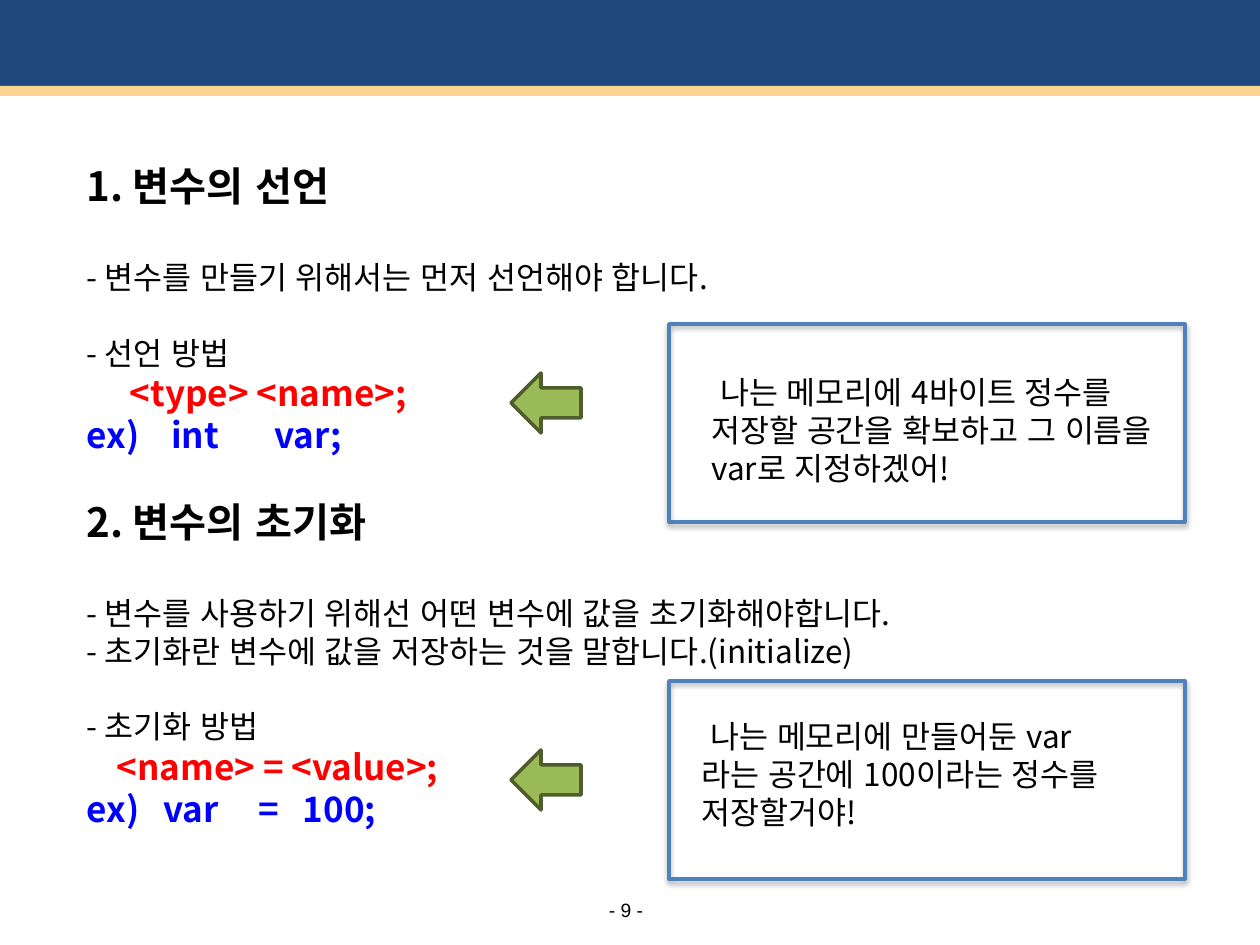
import pptx
import pptx.util
import pptx.dml.color
import pptx.enum.shapes
import pptx.enum.text
import pptx.oxml
import pptx.oxml.ns
import lxml.etree

PX = 914400 // 126
LATIN_FONT = "Noto Sans CJK KR"
EAST_ASIAN_FONT = "Arial"
LINE_HEIGHT = 1.2
COLORS = {
    "header": "1F497D", "stripe": "F9D490", "text": "000000",
    "syntax": "FF0000", "example": "0000FF", "box": "4F81BD",
    "arrow": "9BBB59", "arrow line": "4D5D2C",
}
SHAPES = pptx.enum.shapes.MSO_SHAPE


def rgb(name):
    return pptx.dml.color.RGBColor.from_string(COLORS[name])


def format_paragraph(paragraph, size, color="text", bold=False, font=LATIN_FONT,
                     before=0, indent=0):
    """Format a filled paragraph; before is the size of a skipped line, indent is in px."""
    paragraph.alignment = pptx.enum.text.PP_ALIGN.LEFT
    paragraph.line_spacing = pptx.util.Pt(round(size * LINE_HEIGHT, 1))
    paragraph.space_before = pptx.util.Pt(round(before * LINE_HEIGHT, 1))
    properties = paragraph._p.get_or_add_pPr()
    properties.set("marL", "0")
    properties.set("indent", str(indent * PX))
    lxml.etree.SubElement(properties, pptx.oxml.ns.qn("a:buNone"))
    for run in paragraph.runs:
        run.font.size = pptx.util.Pt(size)
        run.font.bold = bold
        run.font.name = font
        run.font.color.rgb = rgb(color)
        east_asian = lxml.etree.SubElement(run._r.get_or_add_rPr(), pptx.oxml.ns.qn("a:ea"))
        east_asian.set("typeface", EAST_ASIAN_FONT)


presentation = pptx.Presentation()
presentation.slide_width = 1260 * PX
presentation.slide_height = 945 * PX
slide = presentation.slides.add_slide(presentation.slide_layouts[1])
shapes = slide.shapes
body = slide.placeholders[1]
shapes._spTree.remove(shapes.title._element)

# Header bands
for color, top, height in [("header", -4, 96), ("stripe", 86, 10)]:
    band = shapes.add_shape(SHAPES.RECTANGLE, 0, top * PX, 1260 * PX, height * PX)
    band.shadow.inherit = False
    band.fill.solid()
    band.fill.fore_color.rgb = rgb(color)
    band.line.fill.background()

# Lesson text: text, size, colour, bold, skipped line above, indent, widths added to its spaces
lines = [
    ("1. 변수의 선언", 23, "text", True, 0, 0, ()),
    ("- 변수를 만들기 위해서는 먼저 선언해야 합니다.", 18, "text", False, 23, 0, ()),
    ("- 선언 방법", 18, "text", False, 18, 0, ()),
    ("<type> <name>;", 20, "syntax", True, 0, 43, ()),
    ("ex) int var;", 20, "example", True, 0, 0, (13.6, 27.2)),
    ("2. 변수의 초기화", 23, "text", True, 20, 0, ()),
    ("- 변수를 사용하기 위해선 어떤 변수에 값을 초기화해야합니다.", 18, "text", False, 23, 0, ()),
    ("- 초기화란 변수에 값을 저장하는 것을 말합니다.(initialize)", 18, "text", False, 0, 0, ()),
    ("- 초기화 방법", 18, "text", False, 18, 0, ()),
    ("<name> = <value>;", 20, "syntax", True, 0, 30, ()),
    ("ex) var = 100;", 20, "example", True, 0, 0, (9.1, 18.2, 9.1)),
]
body.left, body.top, body.width, body.height = 74 * PX, 155 * PX, 1081 * PX, 679 * PX
frame = body.text_frame
frame.text = "\n".join(line[0] for line in lines)
frame.vertical_anchor = pptx.enum.text.MSO_ANCHOR.TOP
frame.auto_size = pptx.enum.text.MSO_AUTO_SIZE.NONE
for paragraph, (text, size, color, bold, before, indent, gaps) in zip(frame.paragraphs, lines):
    if gaps:
        first_word, *other_words = text.split(" ")
        paragraph.text = first_word
        for gap, word in zip(gaps, other_words):
            space = paragraph.add_run()
            space.text = " "
            space._r.get_or_add_rPr().set("spc", str(round(gap * 100)))
            paragraph.add_run().text = word
    format_paragraph(paragraph, size, color, bold, before=before, indent=indent)

# Callouts: arrow top, box top, text left, text top, text width, text
callouts = [
    (373, 324, 699, 367, 468, "나는 메모리에 4바이트 정수를 저장할 공간을 확보하고 그 이름을 var로 지정하겠어!"),
    (750, 681, 689, 711, 450, "나는 메모리에 만들어둔 var라는 공간에 100이라는 정수를 저장할거야!"),
]
SHADOW = (
    '<a:effectLst xmlns:a="http://schemas.openxmlformats.org/drawingml/2006/main">'
    '<a:outerShdw blurRad="40000" dist="23000" dir="5400000" rotWithShape="0">'
    '<a:srgbClr val="000000"><a:alpha val="35000"/></a:srgbClr>'
    '</a:outerShdw></a:effectLst>'
)
for arrow_top, box_top, text_left, text_top, text_width, text in callouts:
    arrow = shapes.add_shape(SHAPES.LEFT_ARROW, 511 * PX, arrow_top * PX, 70 * PX, 60 * PX)
    arrow.shadow.inherit = False
    arrow.fill.solid()
    arrow.fill.fore_color.rgb = rgb("arrow")
    arrow.line.color.rgb = rgb("arrow line")
    arrow.line.width = pptx.util.Pt(2)

    box = shapes.add_shape(SHAPES.RECTANGLE, 669 * PX, box_top * PX, 516 * PX, 198 * PX)
    box.fill.background()
    box.line.color.rgb = rgb("box")
    box.line.width = pptx.util.Pt(2)
    box._element.spPr.append(pptx.oxml.parse_xml(SHADOW))

    note = shapes.add_textbox(text_left * PX, text_top * PX, text_width * PX, 125 * PX)
    note.text_frame.word_wrap = True
    note.text_frame.text = text
    format_paragraph(note.text_frame.paragraphs[0], 18, indent=9)

page_number = shapes.add_textbox(599 * PX, 898 * PX, 54 * PX, 24 * PX)
frame = page_number.text_frame
frame.margin_left = frame.margin_right = frame.margin_top = frame.margin_bottom = 0
frame.vertical_anchor = pptx.enum.text.MSO_ANCHOR.MIDDLE
frame.text = "- 9 -"
format_paragraph(frame.paragraphs[0], 11, font="Arial")
frame.paragraphs[0].alignment = pptx.enum.text.PP_ALIGN.CENTER

presentation.save("out.pptx")
